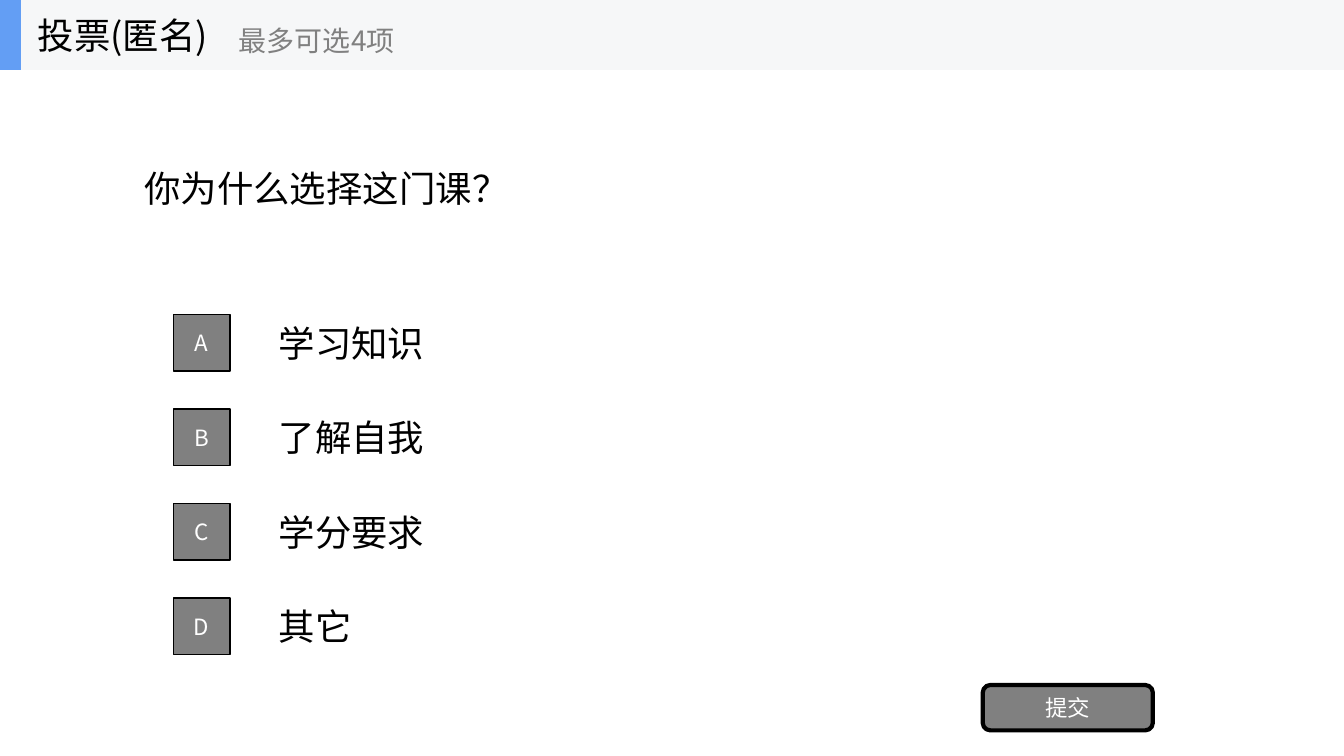
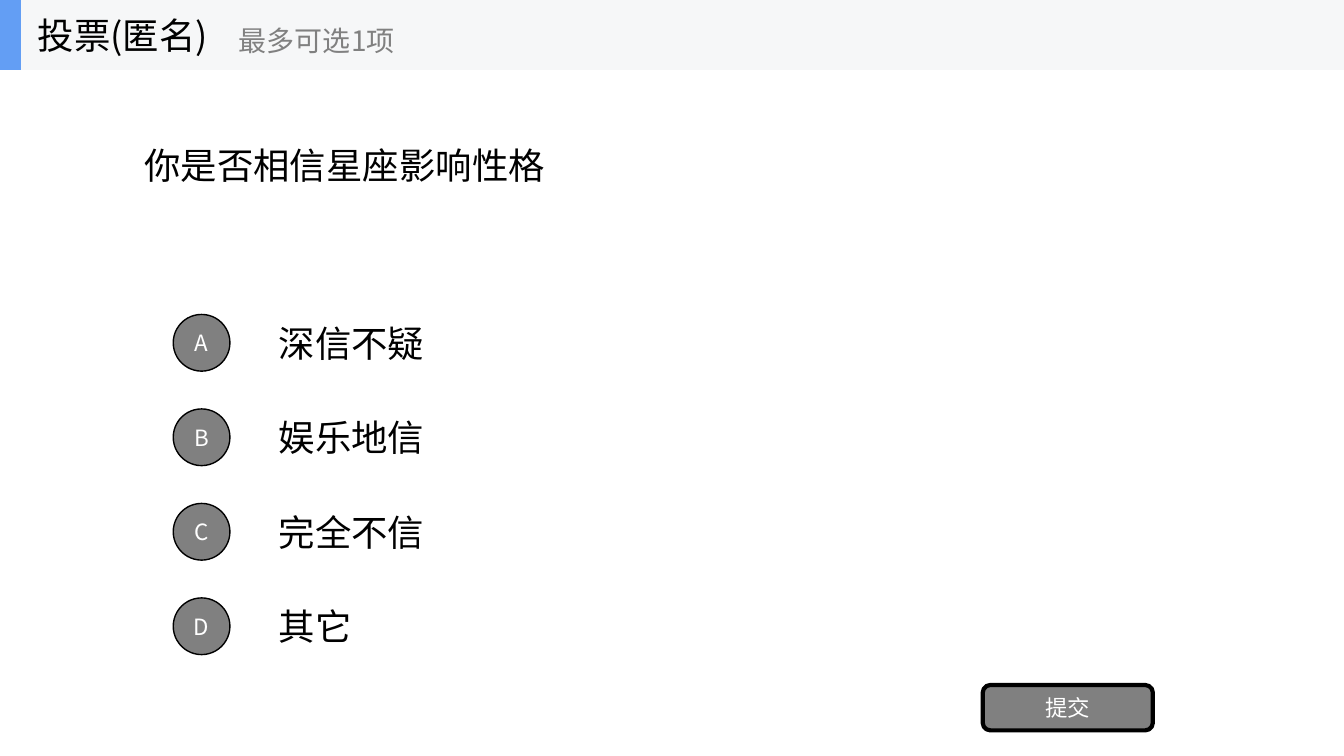
import collections

import pptx
import pptx.dml.color
import pptx.enum.shapes
import pptx.enum.text
import pptx.oxml.ns
import pptx.util
from lxml import etree

COLUMNS, ROWS = 160, 90
UNIT = pptx.util.Inches(7.5) // ROWS
FONT = "Noto Sans CJK SC"
COLORS = {
    "band": "F6F7F8",
    "accent": "639EF4",
    "control": "808080",
    "outline": "000000",
    "text": "000000",
    "muted": "808080",
    "inverse": "FFFFFF",
}
SHAPES = pptx.enum.shapes.MSO_SHAPE
ALIGN = pptx.enum.text.PP_ALIGN

Box = collections.namedtuple("Box", "left top width height")
Poll = collections.namedtuple("Poll", "question question_top limit marker options")

HEADER = Box(0, 0, COLUMNS, 8.33)
OPTIONS = Box(20.62, 35.18, 123.38, 45)
SUBMIT = Box(117, 81.55, 20.25, 5.4)
POLLS = [
    Poll("你为什么选择这门课？", 8.33, 4, SHAPES.RECTANGLE,
         ["学习知识", "了解自我", "学分要求", "其它"]),
    Poll("你是否相信星座影响性格", 5.6, 1, SHAPES.OVAL,
         ["深信不疑", "娱乐地信", "完全不信", "其它"]),
]


def color(name):
    return pptx.dml.color.RGBColor.from_string(COLORS[name])


def place(box):
    return [round(length * UNIT) for length in box]


def write(shape, text, size, color_name, align=ALIGN.LEFT, wrap=True):
    frame = shape.text_frame
    frame.word_wrap = wrap
    frame.vertical_anchor = pptx.enum.text.MSO_ANCHOR.MIDDLE
    paragraph = frame.paragraphs[0]
    paragraph.text = text
    paragraph.alignment = align
    paragraph.font.size = pptx.util.Pt(size)
    paragraph.font.color.rgb = color(color_name)
    paragraph.font.name = FONT
    qn = pptx.oxml.ns.qn
    properties = paragraph._p.find(qn("a:pPr")).find(qn("a:defRPr"))
    etree.SubElement(properties, qn("a:ea")).set("typeface", FONT)


def add_text(shapes, box, text, size=26, color_name="text", wrap=True):
    write(shapes.add_textbox(*place(box)), text, size, color_name, wrap=wrap)


def add_block(shapes, box, kind, fill, line_width=0):
    shape = shapes.add_shape(kind, *place(box))
    shape.shadow.inherit = False
    shape.fill.solid()
    shape.fill.fore_color.rgb = color(fill)
    if line_width:
        shape.line.color.rgb = color("outline")
        shape.line.width = pptx.util.Pt(line_width)
    else:
        shape.line.fill.background()
    return shape


def add_control(shapes, box, kind, text, line_width):
    shape = add_block(shapes, box, kind, "control", line_width)
    write(shape, text, 16, "inverse", ALIGN.CENTER)


def add_options(slide, box, marker, options):
    pitch = box.height / len(options)
    marker_size = pitch * 0.6
    text_height = pitch * 0.75
    indent = box.width - 112
    for index, (letter, option) in enumerate(zip("ABCD", options)):
        middle = box.top + pitch * (index + 0.5)
        add_text(slide.shapes,
                 Box(box.left + indent, middle - text_height / 2,
                     box.width - indent, text_height), option)
        add_control(slide.shapes,
                    Box(box.left, middle - marker_size / 2,
                        marker_size, marker_size), marker, letter, 1)


def add_header(slide, box, limit):
    shapes = slide.shapes.add_group_shape().shapes
    add_block(shapes, box, SHAPES.RECTANGLE, "band")
    add_block(shapes, box._replace(width=2.5), SHAPES.RECTANGLE, "accent")
    add_text(shapes, box._replace(left=box.left + 3.3, width=28),
             "投票(匿名)", wrap=False)
    add_text(shapes, Box(box.left + 27.25, box.top + 1.4, 30, box.height - 1.6),
             f"最多可选{limit}项", 20, "muted", wrap=False)


def add_poll(presentation, poll):
    slide = presentation.slides.add_slide(presentation.slide_layouts[6])
    add_text(slide.shapes, Box(16, poll.question_top, 128, 28.12), poll.question)
    add_options(slide, OPTIONS, poll.marker, poll.options)
    add_control(slide.shapes, SUBMIT, SHAPES.ROUNDED_RECTANGLE, "提交", 3)
    add_header(slide, HEADER, poll.limit)


def main():
    presentation = pptx.Presentation()
    presentation.slide_width = COLUMNS * UNIT
    presentation.slide_height = ROWS * UNIT
    for poll in POLLS:
        add_poll(presentation, poll)
    presentation.save("out.pptx")


if __name__ == "__main__":
    main()
